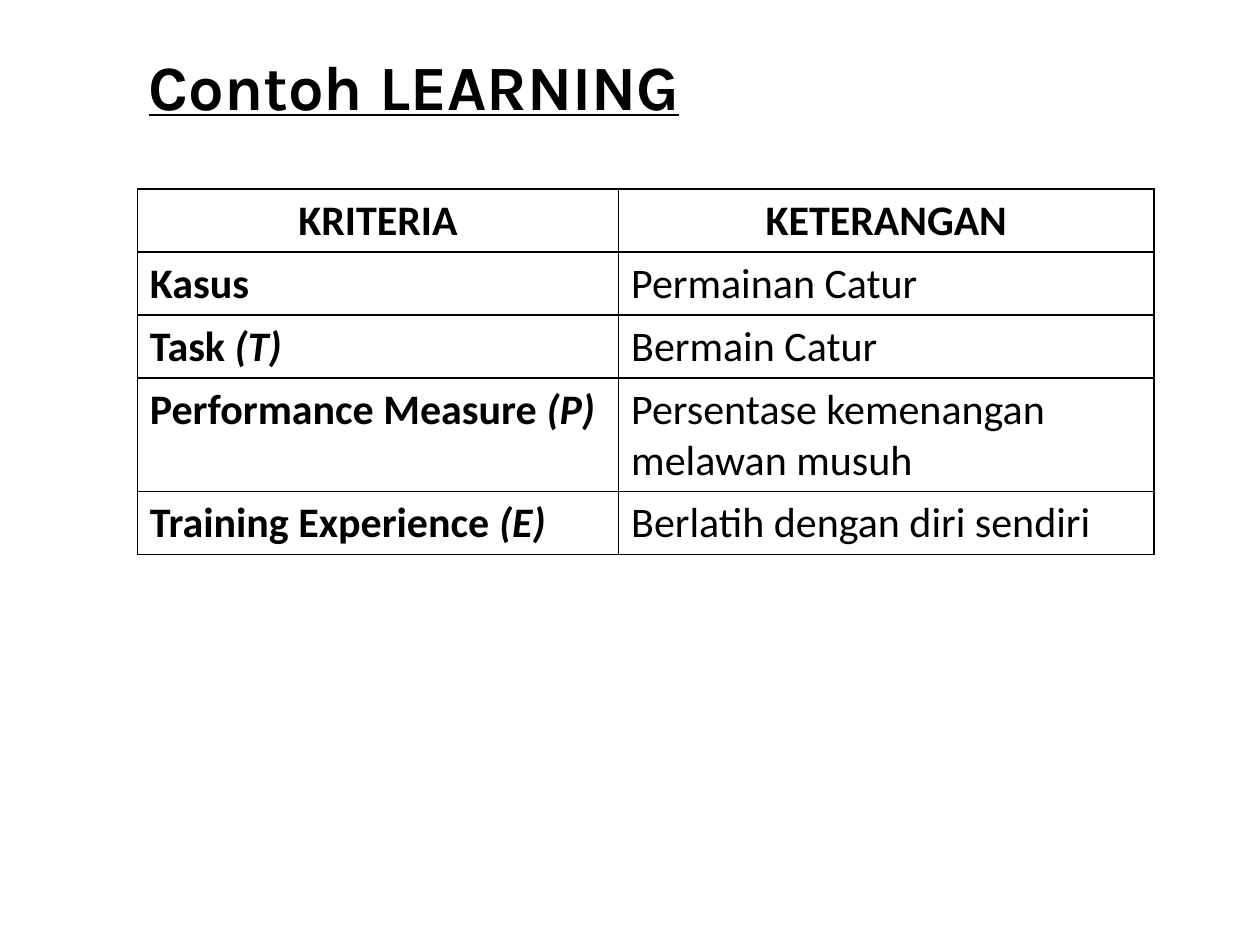
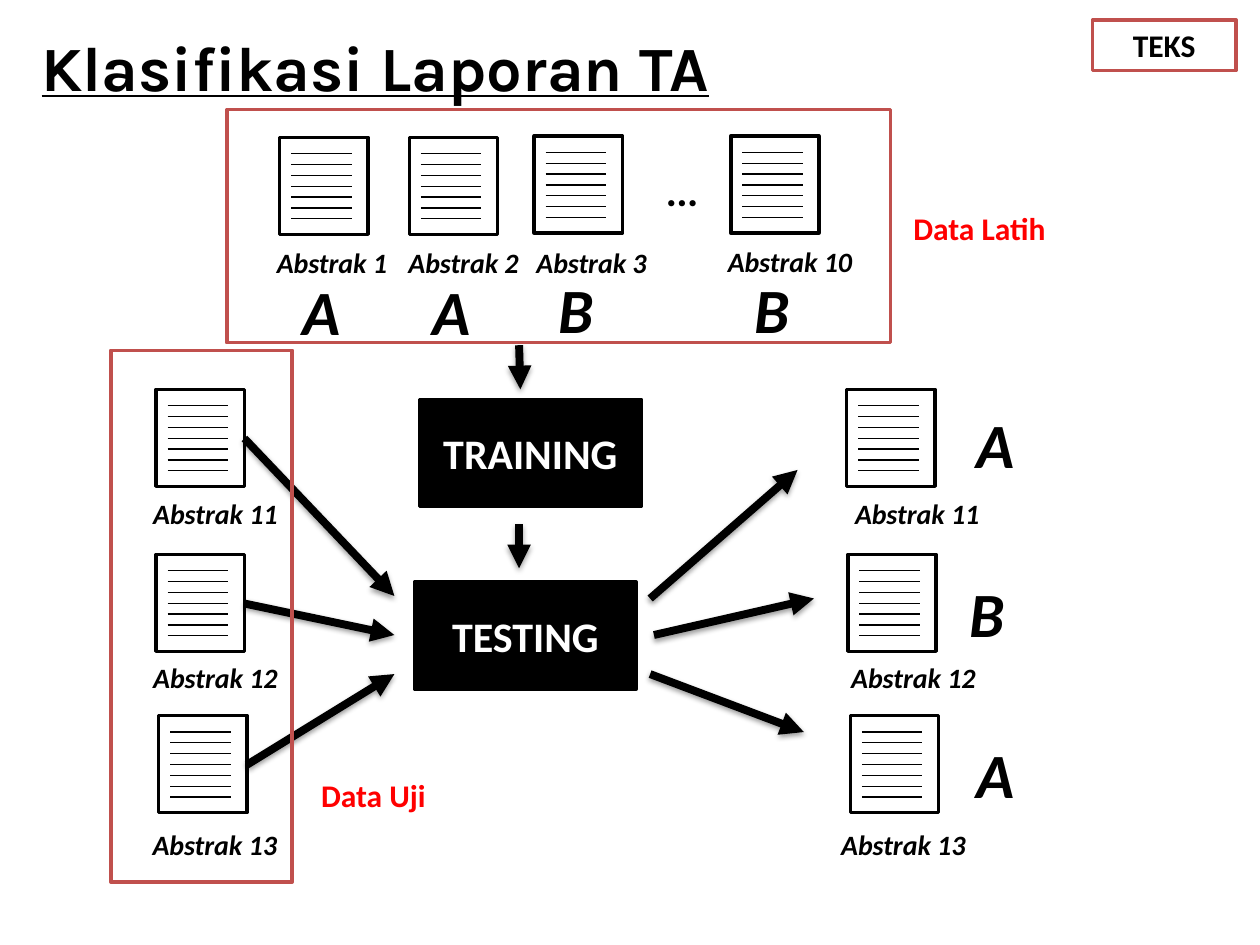
from dataclasses import dataclass

from lxml.etree import SubElement
from pptx import Presentation
from pptx.dml.color import RGBColor
from pptx.enum.shapes import MSO_CONNECTOR, MSO_SHAPE
from pptx.enum.text import MSO_ANCHOR, MSO_AUTO_SIZE, PP_ALIGN
from pptx.oxml.ns import qn
from pptx.util import Emu, Pt

PX = 9144  # EMU in one px, 100 px to the inch


@dataclass(frozen=True)
class Theme:
    black: str = "000000"
    white: str = "FFFFFF"
    frame: str = "C0504D"
    note: str = "FF0000"
    title_font: str = "Karla"
    font: str = "Calibri"
    title_size: int = 36
    class_size: int = 36
    body_size: int = 24
    note_size: int = 18
    label_size: int = 16
    hairline: float = 0.75
    border: float = 1
    outline: float = 2
    arrow: float = 4.5


THEME = Theme()

CRITERIA = [
    (50, "Kasus", "", "Permainan Catur"),
    (50, "Task ", "(T)", "Bermain Catur"),
    (90, "Performance Measure ", "(P)", "Persentase kemenangan melawan musuh"),
    (50, "Training Experience ", "(E)", "Berlatih dengan diri sendiri"),
]

# Number, document (x, y), label (x, y, width), class letter, letter (x, y, width)
TRAINING_DOCS = [
    (1, (222, 109), (207, 190, 113), "A", (224, 211, 62)),
    (2, (325, 109), (311, 190, 114), "A", (327, 211, 62)),
    (3, (424, 108), (412, 190, 115), "B", (426, 210, 62)),
    (10, (580, 108), (566, 189, 122), "B", (582, 210, 62)),
]
TEST_DOCS = [
    (11, (124, 309), (109, 389, 124), "", None),
    (12, (124, 440), (109, 519, 124), "", None),
    (13, (126, 568), (108, 652, 125), "", None),
]
RESULT_DOCS = [
    (11, (672, 309), (658, 389, 140), "A", (714, 317, 153)),
    (12, (673, 440), (658, 519, 134), "B", (707, 451, 153)),
    (13, (675, 568), (657, 652, 120), "A", (714, 579, 153)),
]
ARROWS = [
    (194, 348, 313, 473), (194, 479, 313, 504), (196, 607, 313, 535),
    (516, 475, 633, 373), (519, 504, 646, 475), (516, 535, 638, 581),
    (412, 274, 413, 309), (412, 416, 412, 451),
]


def px(*lengths):
    return [Emu(round(n * PX)) for n in lengths]


def rgb(color):
    return RGBColor.from_string(color)


def add_run(p, text, size, color=THEME.black, font=THEME.font,
            bold=True, italic=False, underline=False):
    r = p.add_run()
    r.text = text
    f = r.font
    f.name, f.size = font, Pt(size)
    f.bold, f.italic, f.underline = bold, italic, underline
    f.color.rgb = rgb(color)


def add_titled_slide(prs, title, x, y):
    s = prs.slides.add_slide(prs.slide_layouts[5])
    sp = s.shapes.title
    sp.left, sp.top, sp.width, sp.height = px(x, y, 853, 71)
    tf = sp.text_frame
    tf.vertical_anchor = MSO_ANCHOR.TOP
    tf.auto_size = MSO_AUTO_SIZE.SHAPE_TO_FIT_TEXT
    p = tf.paragraphs[0]
    p.alignment = PP_ALIGN.LEFT
    add_run(p, title, THEME.title_size, font=THEME.title_font, underline=True)
    return s


def add_text(s, text, x, y, w, h, size, color=THEME.black,
             align=PP_ALIGN.CENTER, italic=True):
    tf = s.shapes.add_textbox(*px(x, y, w, h)).text_frame
    tf.word_wrap = True
    tf.auto_size = MSO_AUTO_SIZE.SHAPE_TO_FIT_TEXT
    p = tf.paragraphs[0]
    p.alignment = align
    add_run(p, text, size, color, italic=italic)


def add_note(s, text, x, y):
    add_text(s, text, x, y, 167, 40, THEME.note_size, THEME.note,
             PP_ALIGN.LEFT, italic=False)


def add_rect(shapes, x, y, w, h, line, fill=None):
    sp = shapes.add_shape(MSO_SHAPE.RECTANGLE, *px(x, y, w, h))
    sp.shadow.inherit = False
    sp.line.color.rgb = rgb(line)
    sp.line.width = Pt(THEME.outline)
    if fill:
        sp.fill.solid()
        sp.fill.fore_color.rgb = rgb(fill)
    else:
        sp.fill.background()
    return sp


def add_box(s, text, x, y, w, h, size, line, fill, color):
    tf = add_rect(s.shapes, x, y, w, h, line, fill).text_frame
    tf.word_wrap = True
    tf.vertical_anchor = MSO_ANCHOR.MIDDLE
    p = tf.paragraphs[0]
    p.alignment = PP_ALIGN.CENTER
    add_run(p, text, size, color)


def add_line(shapes, x1, y1, x2, y2, width):
    """Draw a black line and return it with its empty effect list."""
    c = shapes.add_connector(MSO_CONNECTOR.STRAIGHT, *px(x1, y1, x2, y2))
    c.line.color.rgb = rgb(THEME.black)
    c.line.width = Pt(width)
    return c, SubElement(c._element.spPr, qn("a:effectLst"))


def add_arrow(s, x1, y1, x2, y2):
    c, effects = add_line(s.shapes, x1, y1, x2, y2, THEME.arrow)
    SubElement(c.line._get_or_add_ln(), qn("a:tailEnd"), type="triangle")
    shadow = SubElement(effects, qn("a:outerShdw"), blurRad=str(Pt(3.1)),
                        dist=str(Pt(1.6)), dir="5400000", rotWithShape="0")
    color = SubElement(shadow, qn("a:srgbClr"), val=THEME.black)
    SubElement(color, qn("a:alpha"), val="38000")


def add_document(s, x, y):
    """Draw a sheet with seven evenly spaced lines as one group."""
    shapes = s.shapes.add_group_shape().shapes
    add_rect(shapes, x, y, 70, 77, THEME.black, THEME.white)
    for i in range(7):
        line_y = y + 13 + i * 8.6
        add_line(shapes, x + 9, line_y, x + 57, line_y, THEME.hairline)


def add_abstract(s, number, sheet, label, letter, letter_at):
    add_document(s, *sheet)
    add_text(s, f"Abstrak {number}", *label, 37, THEME.label_size)
    if letter:
        add_text(s, letter, *letter_at, 61, THEME.class_size)


def style_cell(cell):
    tcPr = cell._tc.get_or_add_tcPr()
    for side in ("lnL", "lnR", "lnT", "lnB"):
        ln = SubElement(tcPr, qn(f"a:{side}"), w=str(Pt(THEME.border)))
        fill = SubElement(ln, qn("a:solidFill"))
        SubElement(fill, qn("a:srgbClr"), val=THEME.black)
    cell.fill.background()


def add_criteria_table(s, x, y):
    widths = (382, 425)
    heights = [50] + [row[0] for row in CRITERIA]
    table = s.shapes.add_table(len(heights), len(widths),
                               *px(x, y, sum(widths), sum(heights))).table
    table.first_row = table.horz_banding = False
    for column, width in zip(table.columns, px(*widths)):
        column.width = width
    for row, height in zip(table.rows, px(*heights)):
        row.height = height
    for cell in table.iter_cells():
        style_cell(cell)

    for cell, heading in zip(table.rows[0].cells, ("KRITERIA", "KETERANGAN")):
        p = cell.text_frame.paragraphs[0]
        p.alignment = PP_ALIGN.CENTER
        add_run(p, heading, THEME.body_size)
    for i, (_, name, symbol, detail) in enumerate(CRITERIA, 1):
        p = table.cell(i, 0).text_frame.paragraphs[0]
        add_run(p, name, THEME.body_size)
        if symbol:
            add_run(p, symbol, THEME.body_size, italic=True)
        p = table.cell(i, 1).text_frame.paragraphs[0]
        add_run(p, detail, THEME.body_size, bold=False)


def build_learning_example(prs):
    s = add_titled_slide(prs, "Contoh LEARNING", 108, 33)
    add_criteria_table(s, 109, 150)


def build_report_classification(prs):
    s = add_titled_slide(prs, "Klasifikasi Laporan TA", 23, 18)
    add_box(s, "TEKS", 867, 16, 114, 40, THEME.note_size,
            THEME.frame, THEME.white, THEME.black)
    for name, x, y in (("TRAINING", 333, 317), ("TESTING", 329, 462)):
        add_box(s, name, x, y, 176, 85, THEME.body_size,
                THEME.black, THEME.black, THEME.white)
    for abstract in TRAINING_DOCS + TEST_DOCS + RESULT_DOCS:
        add_abstract(s, *abstract)
    add_text(s, "…", 490, 126, 104, 43, THEME.body_size)
    for arrow in ARROWS:
        add_arrow(s, *arrow)
    add_rect(s.shapes, 180, 87, 527, 185, THEME.frame)
    add_rect(s.shapes, 88, 278, 144, 422, THEME.frame)
    add_note(s, "Data Latih", 715, 161)
    add_note(s, "Data Uji", 245, 611)


def main():
    prs = Presentation()
    prs.slide_width, prs.slide_height = px(1000, 750)
    build_learning_example(prs)
    build_report_classification(prs)
    prs.save("out.pptx")


if __name__ == "__main__":
    main()
